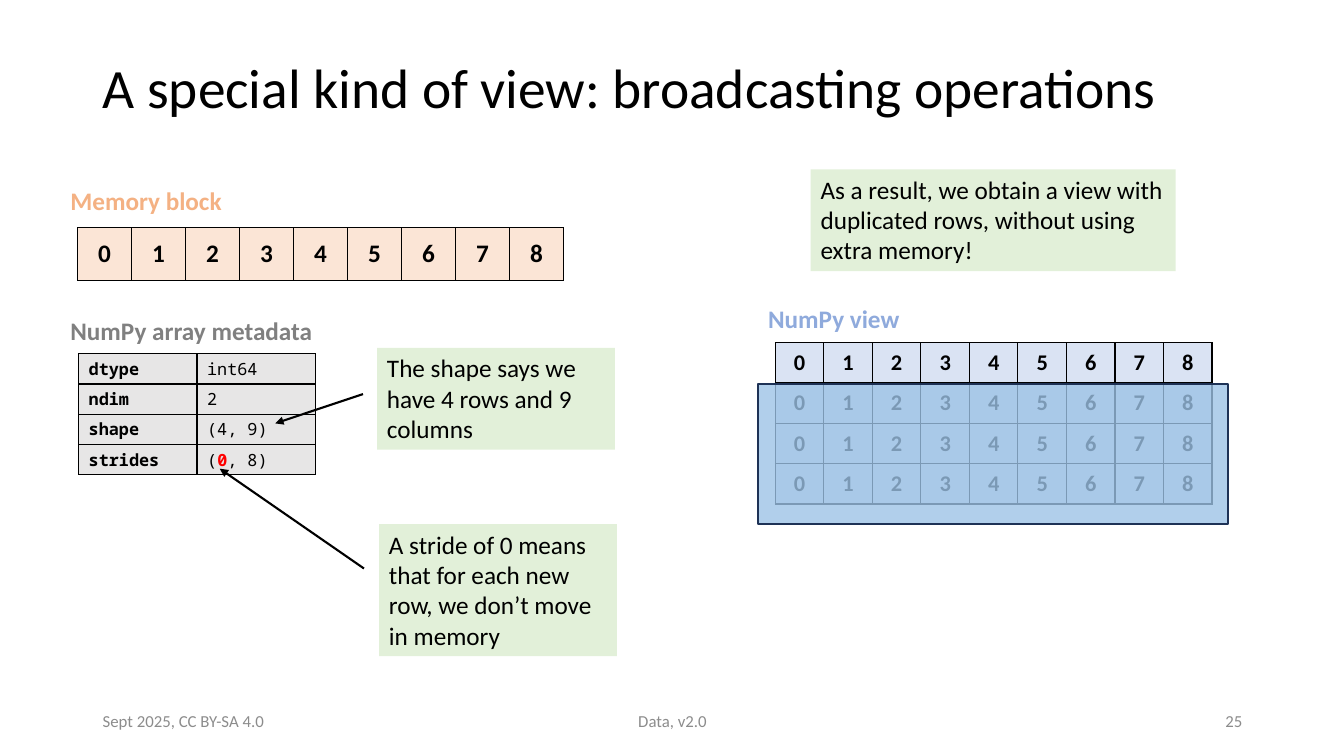
import pptx
import pptx.dml.color
import pptx.enum.shapes
import pptx.enum.text
import pptx.oxml
import pptx.oxml.ns
import pptx.util
from pptx.util import Inches

RGBColor = pptx.dml.color.RGBColor
ALIGN = pptx.enum.text.PP_ALIGN
ANCHOR = pptx.enum.text.MSO_ANCHOR
AUTO_SIZE = pptx.enum.text.MSO_AUTO_SIZE
RECTANGLE = pptx.enum.shapes.MSO_SHAPE.RECTANGLE

BLACK = RGBColor(0x00, 0x00, 0x00)
RED = RGBColor(0xFF, 0x00, 0x00)
FOOTER_GRAY = RGBColor(0x8C, 0x8C, 0x8C)
LABEL_GRAY = RGBColor(0x80, 0x80, 0x80)
LABEL_ORANGE = RGBColor(0xF4, 0xB1, 0x83)
LABEL_BLUE = RGBColor(0x8F, 0xAA, 0xDC)
MEMORY_FILL = RGBColor(0xFB, 0xE5, 0xD6)
METADATA_FILL = RGBColor(0xE7, 0xE6, 0xE6)
VIEW_FILL = RGBColor(0xDA, 0xE3, 0xF3)
NOTE_FILL = RGBColor(0xE2, 0xF0, 0xD9)
VEIL_FILL = RGBColor(0x9D, 0xC3, 0xE6)
VEIL_LINE = RGBColor(0x1E, 0x32, 0x56)

BODY_FONT = "Calibri"
CODE_FONT = "Noto Sans Mono"
INDICES = [str(index) for index in range(9)]


def write_text(paragraph, text, size=18, font=BODY_FONT, color=BLACK,
               bold=False, align=ALIGN.LEFT):
    """Append a formatted run to the paragraph."""
    paragraph.alignment = align
    run = paragraph.add_run()
    run.text = text
    run.font.size = pptx.util.Pt(size)
    run.font.name = font
    run.font.bold = bold
    run.font.color.rgb = color


def add_xml(parent, xml):
    namespace = pptx.oxml.ns.nsdecls("a")
    element = pptx.oxml.parse_xml(xml.replace("/>", f" {namespace}/>", 1)
                                  if xml.count("<") == 1
                                  else xml.replace(">", f" {namespace}>", 1))
    parent.append(element)


def add_text(slide, box, text, anchor=ANCHOR.MIDDLE, line_spacing=None, **text_format):
    shape = slide.shapes.add_textbox(*map(Inches, box))
    frame = shape.text_frame
    frame.word_wrap = True
    frame.vertical_anchor = anchor
    frame.paragraphs[0].line_spacing = line_spacing
    write_text(frame.paragraphs[0], text, **text_format)


def add_label(slide, left, top, width, text, color):
    add_text(slide, (left, top, width, 0.4), text, anchor=ANCHOR.TOP,
             color=color, bold=True)


def add_rectangle(slide, box, fill):
    shape = slide.shapes.add_shape(RECTANGLE, *map(Inches, box))
    shape.shadow.inherit = False
    shape.fill.solid()
    shape.fill.fore_color.rgb = fill
    shape.line.fill.background()
    return shape


def add_note(slide, box, text):
    frame = add_rectangle(slide, box, NOTE_FILL).text_frame
    frame.word_wrap = True
    frame.auto_size = AUTO_SIZE.SHAPE_TO_FIT_TEXT
    frame.vertical_anchor = ANCHOR.TOP
    write_text(frame.paragraphs[0], text)


def add_veil(slide, box):
    """Cover the rows that take no memory with a translucent rectangle."""
    veil = add_rectangle(slide, box, VEIL_FILL)
    veil.line.color.rgb = VEIL_LINE
    veil.line.width = pptx.util.Pt(1)
    color = veil.fill._xPr.find(".//" + pptx.oxml.ns.qn("a:srgbClr"))
    add_xml(color, '<a:alpha val="79000"/>')


def add_arrow(slide, start, end):
    straight = pptx.enum.shapes.MSO_CONNECTOR.STRAIGHT
    arrow = slide.shapes.add_connector(straight, *map(Inches, start + end))
    arrow.line.color.rgb = BLACK
    arrow.line.width = pptx.util.Pt(1.5)
    add_xml(arrow.line._get_or_add_ln(), '<a:tailEnd type="triangle"/>')
    add_xml(arrow._element.spPr, "<a:effectLst/>")


def style_cell(cell, fill, margins):
    cell.vertical_anchor = ANCHOR.MIDDLE
    cell.margin_left = cell.margin_right = Inches(margins[0])
    cell.margin_top = cell.margin_bottom = Inches(margins[1])
    for side in ("lnL", "lnR", "lnT", "lnB"):
        add_xml(cell._tc.get_or_add_tcPr(),
                f'<a:{side} w="12700"><a:solidFill><a:srgbClr val="{BLACK}"/>'
                f"</a:solidFill></a:{side}>")
    cell.fill.solid()
    cell.fill.fore_color.rgb = fill


def add_grid(slide, box, rows, fill, margins=(0.1, 0.05), **text_format):
    """Add an evenly divided table; each cell is a list of (text, format) runs."""
    left, top, width, height = box
    frame = slide.shapes.add_table(len(rows), len(rows[0]), *map(Inches, box))
    table = frame.table
    table.first_row = table.horz_banding = False
    for column in table.columns:
        column.width = Inches(width / len(rows[0]))
    for row in table.rows:
        row.height = Inches(height / len(rows))
    for row_index, row in enumerate(rows):
        for column_index, runs in enumerate(row):
            cell = table.cell(row_index, column_index)
            style_cell(cell, fill, margins)
            for text, run_format in runs:
                write_text(cell.text_frame.paragraphs[0], text,
                           **{**text_format, **run_format})


def main():
    presentation = pptx.Presentation()
    presentation.slide_width = Inches(13.33)
    presentation.slide_height = Inches(7.5)
    slide = presentation.slides.add_slide(presentation.slide_layouts[6])

    # Title and footer
    add_text(slide, (0.92, 0.4, 11.5, 0.99),
             "A special kind of view: broadcasting operations",
             size=39.6, line_spacing=0.9)
    for left, width, text, align in (
        (0.92, 3, "Sept 2025, CC BY-SA 4.0", ALIGN.LEFT),
        (4.42, 4.5, "Data, v2.0", ALIGN.CENTER),
        (9.42, 3, "25", ALIGN.RIGHT),
    ):
        add_text(slide, (left, 6.95, width, 0.4), text,
                 size=12, color=FOOTER_GRAY, align=align)

    # Memory block
    index_row = [[(index, {})] for index in INDICES]
    add_label(slide, 0.6, 1.79, 2.13, "Memory block", LABEL_ORANGE)
    add_grid(slide, (0.77, 2.26, 4.82, 0.52), [index_row], MEMORY_FILL,
             bold=True, align=ALIGN.CENTER)

    # Array metadata
    add_label(slide, 0.6, 3.08, 2.83, "NumPy array metadata", LABEL_GRAY)
    strides = [("(", {}), ("0", {"color": RED, "bold": True}), (", 8)", {})]
    metadata = {
        "dtype": [("int64", {})],
        "ndim": [("2", {})],
        "shape": [("(4, 9)", {})],
        "strides": strides,
    }
    add_grid(slide, (0.78, 3.51, 2.35, 1.2),
             [[[(name, {"bold": True})], value] for name, value in metadata.items()],
             METADATA_FILL, margins=(0.1, 0.03), size=12, font=CODE_FONT)

    # Broadcast view
    add_label(slide, 7.52, 2.96, 2.13, "NumPy view", LABEL_BLUE)
    add_grid(slide, (7.69, 3.4, 4.33, 1.6), [index_row] * 4, VIEW_FILL,
             margins=(0.12, 0.06), size=16, bold=True, align=ALIGN.CENTER)
    add_veil(slide, (7.52, 3.81, 4.66, 1.39))

    # Explanations and their arrows
    add_note(slide, (3.76, 5.2, 2.36, 1.31),
             "A stride of 0 means that for each new row, we don’t move in memory")
    add_arrow(slide, (3.61, 5.64), (2.18, 4.65))
    add_note(slide, (3.74, 3.45, 2.36, 1.01),
             "The shape says we have 4 rows and 9 columns")
    add_arrow(slide, (3.6, 3.91), (2.73, 4.2))
    add_note(slide, (8.04, 1.68, 3.62, 1.01),
             "As a result, we obtain a view with duplicated rows, "
             "without using extra memory!")

    presentation.save("out.pptx")


if __name__ == "__main__":
    main()
